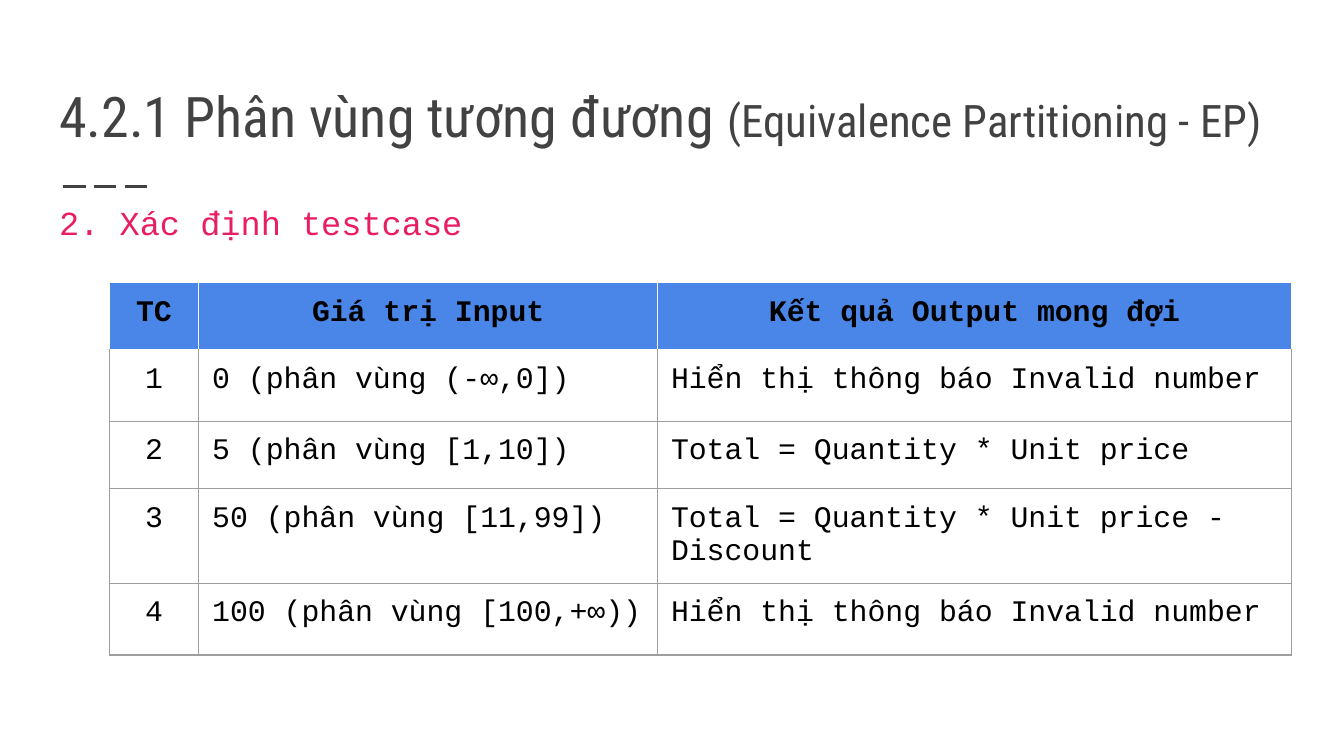
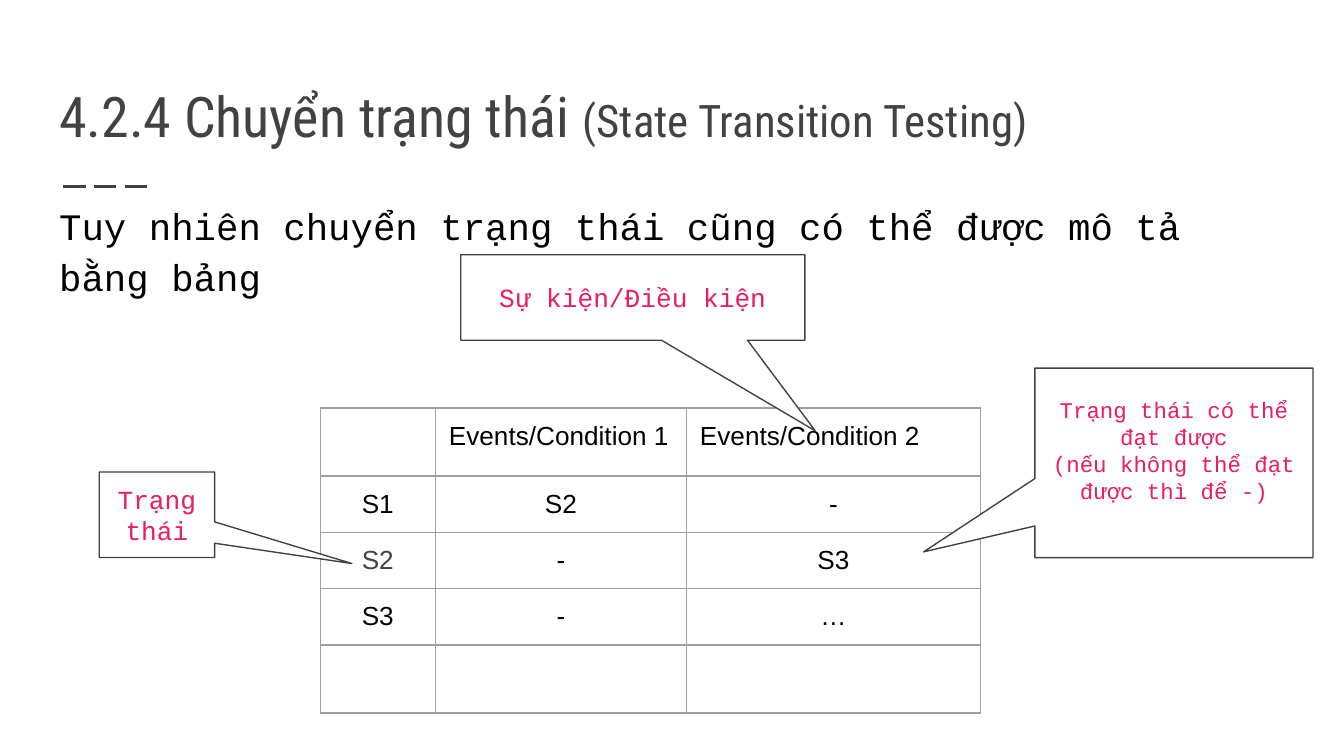
from lxml import etree
from pptx import Presentation
from pptx.dml.color import RGBColor
from pptx.enum.dml import MSO_LINE_DASH_STYLE as Dash
from pptx.enum.shapes import MSO_CONNECTOR as Connector, MSO_SHAPE as Shape
from pptx.enum.text import MSO_ANCHOR as Anchor, MSO_AUTO_SIZE as AutoSize, PP_ALIGN as Align
from pptx.oxml.ns import qn
from pptx.util import Pt

# Shared style
DARK, PINK, BLACK, WHITE = "424242", "E91D63", "000000", "FFFFFF"
GREY, BLUE = "9E9E9E", "4A86E8"
TITLE_FONT, MONO, SANS = "Roboto Condensed", "Courier New", "Arial"
INSET = 7.2

# Content: lengths in points
TEST_CASES = {
    "title": ("4.2.1 Phân vùng tương đương ", "(Equivalence Partitioning - EP)"),
    "body": ("2. Xác định testcase", 18, PINK, 671),
    "table": {
        "place": (58.5, 151.5),
        "columns": (48, 245.8, 339.6),
        "heights": (36, 38.4, 36, 37.2, 38.4),
        "rows": [
            ("TC", "Giá trị Input", "Kết quả Output mong đợi"),
            ("1", "0 (phân vùng (-∞,0])", "Hiển thị thông báo Invalid number"),
            ("2", "5 (phân vùng [1,10])", "Total = Quantity * Unit price"),
            ("3", "50 (phân vùng [11,99])", "Total = Quantity * Unit price - Discount"),
            ("4", "100 (phân vùng [100,+∞))", "Hiển thị thông báo Invalid number"),
        ],
        "font": (MONO, 16),
        "header_fill": BLUE,
        "centred": lambda row, column: row == 0 or column == 0,
        "accents": {},
    },
    "callouts": [],
}
STATE_TABLE = {
    "title": ("4.2.4 Chuyển trạng thái ", "(State Transition Testing)"),
    "body": ("Tuy nhiên chuyển trạng thái cũng có thể được mô tả bằng bảng", 20, BLACK, 662.4),
    "table": {
        "place": (171.5, 218.6),
        "columns": (61.8, 134.5, 157.5),
        "heights": (30.2,) * 5,
        "rows": [
            ("", "Events/Condition 1", "Events/Condition 2"),
            ("S1", "S2", "-"),
            ("S2", "-", "S3"),
            ("S3", "-", "…"),
            ("", "", ""),
        ],
        "font": (SANS, 14),
        "header_fill": None,
        "centred": lambda row, column: row > 0,
        "accents": {(2, 0): DARK},
    },
    # paragraphs, font size, box, pointer, bottom inset
    "callouts": [
        (["Trạng thái"], 14, (53.2, 252.9, 61.8, 45.8), (1.69, 0.57), INSET),
        (["Sự kiện/Điều kiện"], 14, (246.8, 136.5, 184.4, 45.8), (0.53, 1.56), INSET),
        (["Trạng thái có thể đạt được", "(nếu không thể đạt được thì để -)"],
         12, (554.4, 197.2, 149, 101.5), (-0.9, 0.47), 20.8),
    ],
}


def color(hex_string):
    return RGBColor.from_string(hex_string)


def add_run(paragraph, text, font, size, hex_string, bold=False):
    run = paragraph.add_run()
    run.text = text
    run.font.name, run.font.size, run.font.bold = font, Pt(size), bold
    run.font.color.rgb = color(hex_string)


def set_frame(frame, anchor, bottom=INSET):
    frame.word_wrap, frame.auto_size = True, AutoSize.NONE
    frame.vertical_anchor = anchor
    frame.margin_left = frame.margin_top = frame.margin_right = Pt(INSET)
    frame.margin_bottom = Pt(bottom)


def move(shape, *box):
    shape.left, shape.top, shape.width, shape.height = map(Pt, box)


def add_heading(slide, title_parts, body):
    # Title with a smaller second part
    title = slide.shapes.title
    move(title, 24.5, 29.5, 671, 57.6)
    set_frame(title.text_frame, Anchor.BOTTOM)
    paragraph = title.text_frame.paragraphs[0]
    paragraph.alignment = Align.LEFT
    for text, size in zip(title_parts, (30, 24)):
        add_run(paragraph, text, TITLE_FONT, size, DARK)

    # Dashed rule under the title
    rule = slide.shapes.add_connector(Connector.STRAIGHT, Pt(33.8), Pt(100.1), Pt(82), Pt(100.1))
    rule.line.color.rgb, rule.line.width = color(DARK), Pt(1.5)
    rule.line.dash_style = Dash.LONG_DASH
    etree.SubElement(rule._element.spPr, qn("a:effectLst"))

    # Body text without a bullet
    text, size, hex_string, width = body
    placeholder = slide.placeholders[1]
    move(placeholder, 24.5, 97.9, width, 293)
    set_frame(placeholder.text_frame, Anchor.TOP)
    paragraph = placeholder.text_frame.paragraphs[0]
    properties = paragraph._p.get_or_add_pPr()
    properties.set("marL", "0")
    properties.set("indent", "0")
    etree.SubElement(properties, qn("a:buNone"))
    paragraph.line_spacing, paragraph.space_before = 1.15, Pt(0)
    add_run(paragraph, text, MONO, size, hex_string)


def set_borders(cell, colors):
    properties = cell._tc.get_or_add_tcPr()
    for side, hex_string in zip("LRTB", colors):
        line = etree.SubElement(properties, qn(f"a:ln{side}"), w=str(Pt(0.75)))
        fill = etree.SubElement(line, qn("a:solidFill"))
        etree.SubElement(fill, qn("a:srgbClr"), val=hex_string)


def add_table(slide, data):
    rows, columns, heights = data["rows"], data["columns"], data["heights"]
    header_fill = data["header_fill"]
    table = slide.shapes.add_table(
        len(rows), len(columns), *map(Pt, data["place"]), Pt(sum(columns)), Pt(sum(heights))).table
    table.first_row = table.horz_banding = False
    for column, width in zip(table.columns, columns):
        column.width = Pt(width)
    for row, height in zip(table.rows, heights):
        row.height = Pt(height)

    for r, texts in enumerate(rows):
        is_header = r == 0 and header_fill is not None
        side_color = WHITE if is_header else GREY
        top_color = WHITE if header_fill and r < 2 else GREY
        for c, text in enumerate(texts):
            cell = table.cell(r, c)
            cell.margin_left = cell.margin_right = cell.margin_top = cell.margin_bottom = Pt(INSET)
            set_borders(cell, (side_color, side_color, top_color, side_color))
            if is_header:
                cell.fill.solid()
                cell.fill.fore_color.rgb = color(header_fill)
            else:
                cell.fill.background()
            if text:
                paragraph = cell.text_frame.paragraphs[0]
                paragraph.alignment = Align.CENTER if data["centred"](r, c) else Align.LEFT
                add_run(paragraph, text, *data["font"], data["accents"].get((r, c), BLACK), is_header)


def add_callout(slide, texts, size, box, pointer, bottom):
    callout = slide.shapes.add_shape(Shape.RECTANGULAR_CALLOUT, *map(Pt, box))
    callout.adjustments[0], callout.adjustments[1] = pointer
    callout.shadow.inherit = False
    callout.fill.solid()
    callout.fill.fore_color.rgb = color(WHITE)
    callout.line.color.rgb, callout.line.width = color(DARK), Pt(0.75)
    frame = callout.text_frame
    set_frame(frame, Anchor.MIDDLE, bottom)
    for index, text in enumerate(texts):
        paragraph = frame.add_paragraph() if index else frame.paragraphs[0]
        paragraph.alignment = Align.CENTER
        add_run(paragraph, text, MONO, size, PINK)


def main():
    presentation = Presentation()
    presentation.slide_width, presentation.slide_height = Pt(720), Pt(405)
    for content in (TEST_CASES, STATE_TABLE):
        slide = presentation.slides.add_slide(presentation.slide_layouts[1])
        slide.background.fill.solid()
        slide.background.fill.fore_color.rgb = color(WHITE)
        add_heading(slide, content["title"], content["body"])
        add_table(slide, content["table"])
        for callout in content["callouts"]:
            add_callout(slide, *callout)
    presentation.save("out.pptx")


if __name__ == "__main__":
    main()
